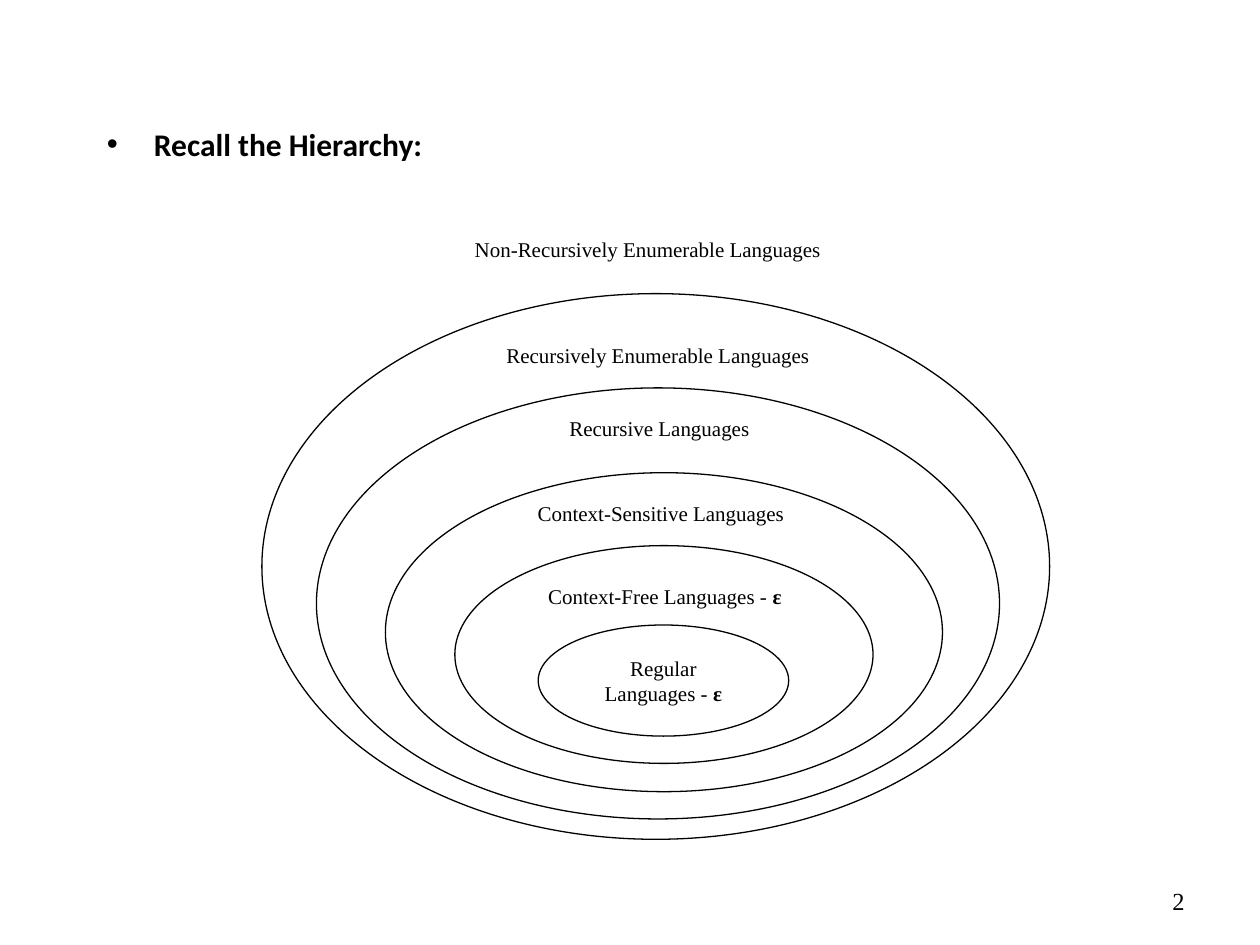
from lxml import etree
from pptx import Presentation
from pptx.dml.color import RGBColor
from pptx.enum.shapes import MSO_SHAPE
from pptx.enum.text import MSO_ANCHOR, MSO_AUTO_SIZE, PP_ALIGN
from pptx.oxml.ns import qn
from pptx.util import Cm, Pt

OVAL = MSO_SHAPE.OVAL
MIDDLE = MSO_ANCHOR.MIDDLE
LEFT, CENTER, RIGHT = PP_ALIGN.LEFT, PP_ALIGN.CENTER, PP_ALIGN.RIGHT
NO_FIT, FIT_SHAPE = MSO_AUTO_SIZE.NONE, MSO_AUTO_SIZE.SHAPE_TO_FIT_TEXT
BLACK = RGBColor(0, 0, 0)
SERIF, SANS = "Times New Roman", "Calibri"

HEADING = "Recall the Hierarchy:"
PAGE_NUMBER = "2"
EPSILON = ("ε", True)

# Left, top, width, height in cm, outermost class first
ELLIPSES = [
    (5.28, 5.92, 15.88, 11.0),
    (6.38, 7.82, 13.77, 8.69),
    (7.77, 9.53, 11.23, 6.43),
    (9.17, 11.0, 8.43, 4.39),
    (10.85, 12.6, 5.05, 2.24),
]
# Left, top, width in cm, then (text, bold) runs
LABELS = [
    (9.32, 4.65, 7.52, [("Non-Recursively Enumerable Languages", False)]),
    (9.96, 6.78, 6.65, [("Recursively Enumerable Languages", False)]),
    (11.23, 8.26, 4.17, [("Recursive Languages", False)]),
    (10.59, 9.96, 5.49, [("Context-Sensitive Languages", False)]),
    (10.8, 11.63, 5.23, [("Context-Free Languages - ", False), EPSILON]),
]
INNERMOST = [("Regular Languages - ", False), EPSILON]
LABEL_HEIGHT = 0.76


def write(tf, runs, size, font=SERIF, align=LEFT):
    p = tf.paragraphs[0]
    p.alignment = align
    for text, bold in runs:
        r = p.add_run()
        r.text = text
        r.font.name = font
        r.font.size = Pt(size)
        r.font.bold = bold
        r.font.color.rgb = BLACK
    return p


def add_heading(slide):
    body = slide.placeholders[1]
    body.left, body.top, body.width, body.height = Cm(1.9), Cm(1.48), Cm(21.6), Cm(16.71)
    tf = body.text_frame
    tf.auto_size = NO_FIT
    tf.margin_top = Cm(1.03)
    p = write(tf, [(HEADING, True)], 18, SANS)
    p.space_before = Pt(0)
    pPr = p._p.get_or_add_pPr()
    pPr.set("marL", str(Cm(0.95)))
    pPr.set("indent", str(-Cm(0.95)))
    etree.SubElement(pPr, qn("a:buChar")).set("char", "•")


def add_ellipse(slide, box):
    sp = slide.shapes.add_shape(OVAL, *map(Cm, box))
    sp.shadow.inherit = False
    sp.fill.background()
    sp.line.color.rgb = BLACK
    sp.line.width = Pt(0.75)
    return sp


def add_text(slide, box):
    tf = slide.shapes.add_textbox(*map(Cm, box)).text_frame
    tf.word_wrap = True
    return tf


def main():
    prs = Presentation()
    prs.slide_width, prs.slide_height = Cm(25.4), Cm(19.05)
    slide = prs.slides.add_slide(prs.slide_layouts[1])
    title = slide.shapes.title._element
    title.getparent().remove(title)
    add_heading(slide)

    for box in ELLIPSES:
        sp = add_ellipse(slide, box)
    sp.text_frame.vertical_anchor = MIDDLE
    write(sp.text_frame, INNERMOST, 12, align=CENTER)

    for left, top, width, runs in LABELS:
        tf = add_text(slide, (left, top, width, LABEL_HEIGHT))
        tf.word_wrap = False
        tf.auto_size = FIT_SHAPE
        write(tf, runs, 12)

    tf = add_text(slide, (18.2, 17.66, 5.93, 1.01))
    tf.vertical_anchor = MIDDLE
    write(tf, [(PAGE_NUMBER, False)], 14, align=RIGHT)

    prs.save("out.pptx")


if __name__ == "__main__":
    main()
